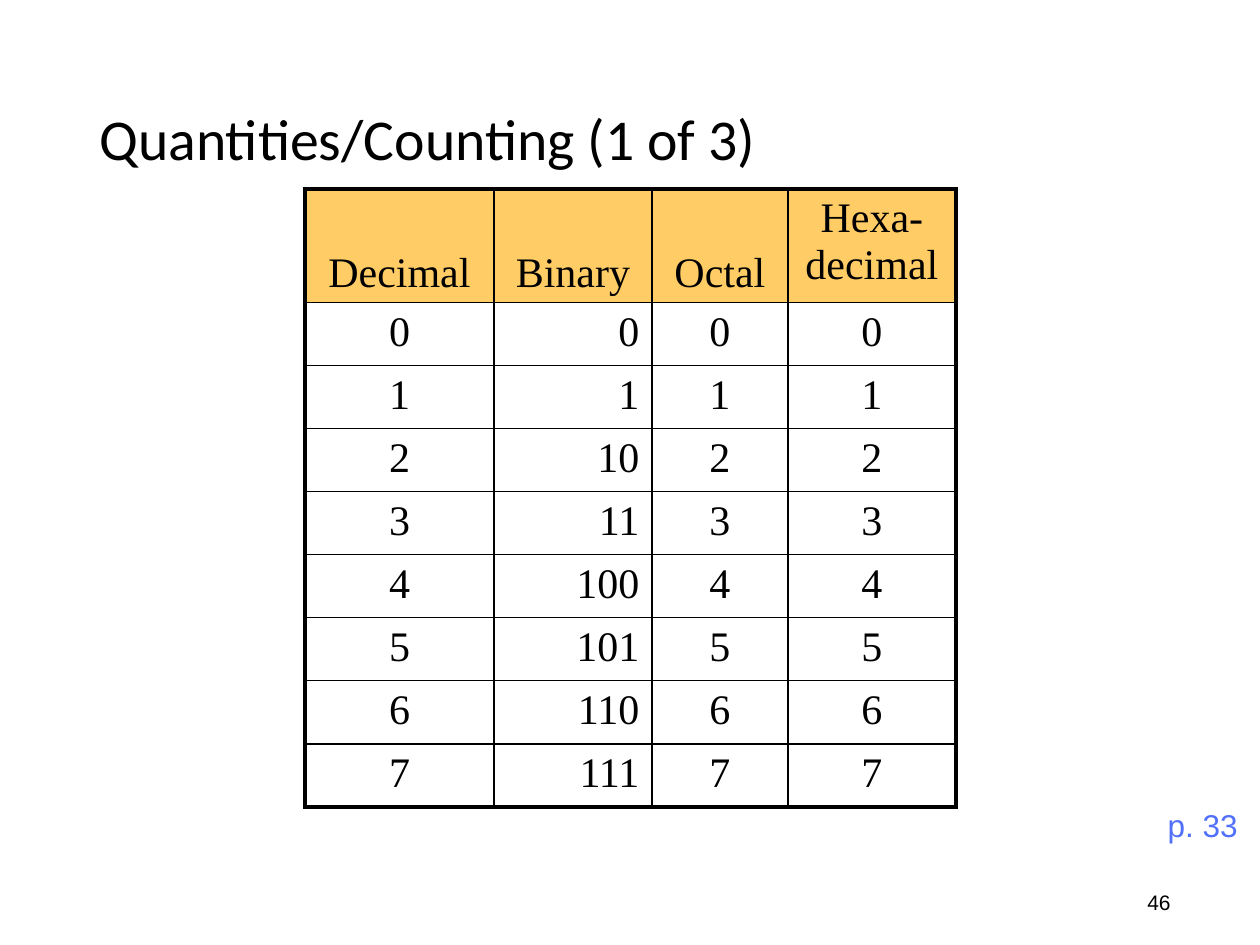
from dataclasses import dataclass

from lxml.etree import SubElement
from pptx import Presentation
from pptx.dml.color import RGBColor
from pptx.enum.text import MSO_ANCHOR as Anchor, PP_ALIGN as Align
from pptx.oxml.ns import qn
from pptx.util import Emu, Pt

PX_PER_INCH = 126


@dataclass(frozen=True)
class Theme:
    ink: str = "000000"
    header_fill: str = "FFCC66"
    page_ref: str = "5271FB"
    title_font: str = "Calibri"
    table_font: str = "Times New Roman"
    note_font: str = "Arial"
    title_size: int = 33
    table_size: int = 24
    page_ref_size: int = 18
    number_size: int = 12
    outer_line: float = 2.25
    inner_line: float = 1


THEME = Theme()
HEADERS = ["Decimal", "Binary", "Octal", "Hexa-\vdecimal"]
COLUMN_WIDTHS = [189, 158, 136, 168]
HEADER_HEIGHT = 112


def px(length):
    return Emu(round(length * 914400 / PX_PER_INCH))


def style(paragraph, font_name, size, color, align):
    paragraph.alignment = align
    font = paragraph.font
    font.name = font_name
    font.size = Pt(size)
    font.color.rgb = RGBColor.from_string(color)


def add_label(slide, box, text, font_name, size, color,
              align=Align.LEFT, anchor=Anchor.TOP, wrap=True):
    frame = slide.shapes.add_textbox(*map(px, box)).text_frame
    frame.word_wrap = wrap
    frame.vertical_anchor = anchor
    paragraph = frame.paragraphs[0]
    paragraph.text = text
    style(paragraph, font_name, size, color, align)
    return paragraph


def add_title(slide, box):
    title = add_label(slide, box, "Quantities/Counting (1 of 3)", THEME.title_font,
                      THEME.title_size, THEME.ink, anchor=Anchor.MIDDLE)
    title.line_spacing = 0.9


def set_borders(cell, outer_sides):
    """Rule all four sides, heavier where the side lies on the table's edge."""
    properties = cell._tc.get_or_add_tcPr()
    for side in "LRTB":
        weight = THEME.outer_line if side in outer_sides else THEME.inner_line
        line = SubElement(properties, qn(f"a:ln{side}"), w=str(Pt(weight)))
        fill = SubElement(line, qn("a:solidFill"))
        SubElement(fill, qn("a:srgbClr"), val=THEME.ink)


def add_counting_table(slide, box):
    rows = [HEADERS] + [[str(n), f"{n:b}", f"{n:o}", f"{n:X}"] for n in range(8)]
    last_row, last_column = len(rows) - 1, len(HEADERS) - 1
    table = slide.shapes.add_table(len(rows), len(HEADERS), *map(px, box)).table
    for column, width in zip(table.columns, COLUMN_WIDTHS):
        column.width = px(width)
    body_height = (box[3] - HEADER_HEIGHT) / last_row
    for r, values in enumerate(rows):
        is_header = r == 0
        table.rows[r].height = px(HEADER_HEIGHT if is_header else body_height)
        for c, value in enumerate(values):
            cell = table.cell(r, c)
            on_edge = {"L": c == 0, "R": c == last_column,
                       "T": is_header, "B": r == last_row}
            set_borders(cell, [side for side, edge in on_edge.items() if edge])
            if is_header:
                cell.fill.solid()
                cell.fill.fore_color.rgb = RGBColor.from_string(THEME.header_fill)
            else:
                cell.fill.background()
            single_line_header = is_header and c < last_column
            cell.vertical_anchor = Anchor.BOTTOM if single_line_header else Anchor.TOP
            paragraph = cell.text_frame.paragraphs[0]
            paragraph.text = value
            is_binary_value = c == 1 and not is_header
            style(paragraph, THEME.table_font, THEME.table_size, THEME.ink,
                  Align.RIGHT if is_binary_value else Align.CENTER)


def add_page_reference(slide, box):
    add_label(slide, box, "p. 33", THEME.note_font, THEME.page_ref_size,
              THEME.page_ref, Align.RIGHT)


def add_slide_number(slide, box):
    add_label(slide, box, "46", THEME.note_font, THEME.number_size,
              THEME.ink, wrap=False)


def main():
    deck = Presentation()
    deck.slide_width, deck.slide_height = px(1260), px(945)
    slide = deck.slides.add_slide(deck.slide_layouts[6])
    add_slide_number(slide, (1135, 883, 50, 38))
    add_title(slide, (87, 50, 1086, 183))
    add_counting_table(slide, (305, 189, sum(COLUMN_WIDTHS), 615))
    add_page_reference(slide, (1103, 800, 147, 50))
    deck.save("out.pptx")


if __name__ == "__main__":
    main()
